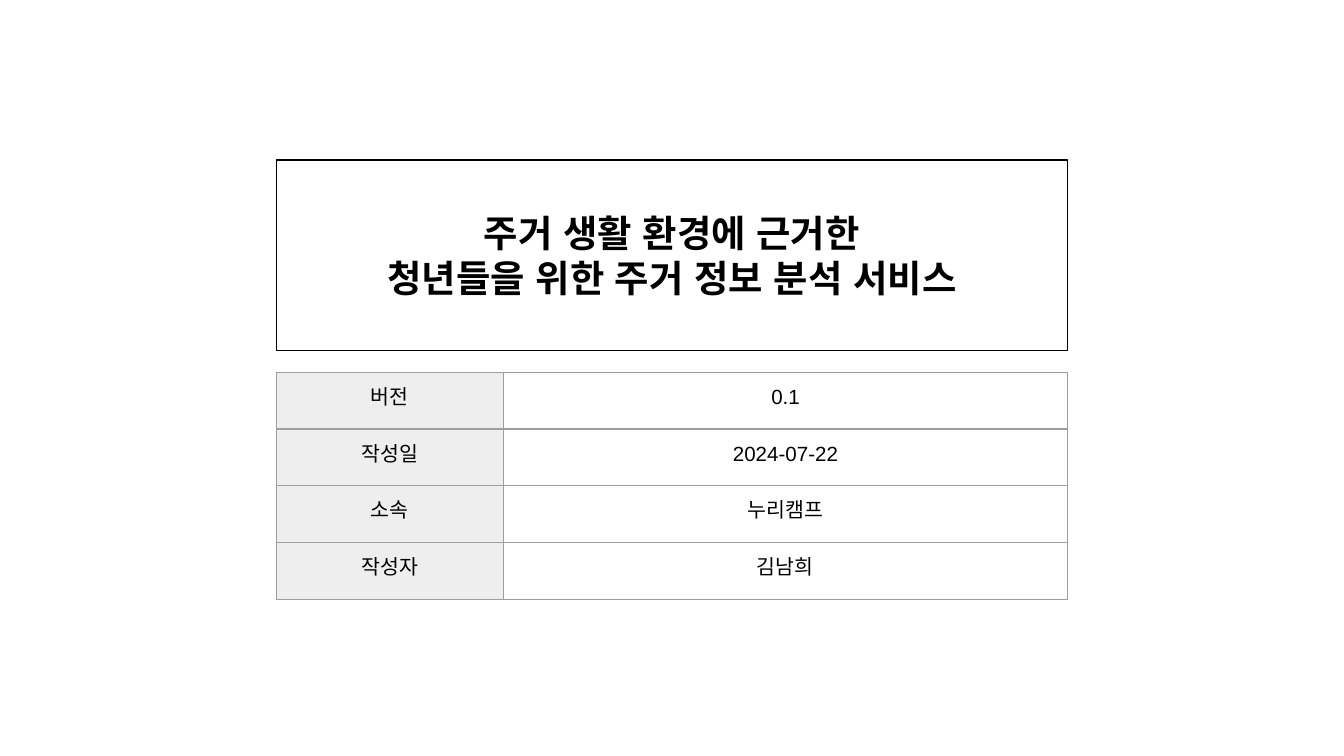
from pptx import Presentation, util as u
from pptx.dml.color import RGBColor
from pptx.enum import text
from pptx.oxml import parse_xml
from pptx.oxml.ns import nsdecls

BLACK = RGBColor(0x00, 0x00, 0x00)
WHITE = RGBColor(0xFF, 0xFF, 0xFF)
LABEL_GREY = RGBColor(0xEE, 0xEE, 0xEE)
BORDER_GREY = RGBColor(0x9E, 0x9E, 0x9E)

WIDTH = u.Inches(10)
HEIGHT = WIDTH * 9 // 16
CONTENT_WIDTH = u.Inches(5.89)
LEFT = (WIDTH - CONTENT_WIDTH) // 2
TITLE_BOX = (LEFT, u.Inches(1.19), CONTENT_WIDTH, u.Inches(1.42))
DETAILS_BOX = (LEFT, u.Inches(2.77), CONTENT_WIDTH, u.Inches(1.69))
LABEL_SHARE = 1.69 / 5.89
RULE = u.Pt(0.75)
INSET = u.Inches(0.1)
MARGINS = dict.fromkeys(
    ("margin_left", "margin_top", "margin_right", "margin_bottom"), INSET)
TYPEFACE = "Arial"
TITLE_FONT = {"name": TYPEFACE, "size": u.Pt(20), "bold": True}
DETAIL_FONT = {"name": TYPEFACE, "size": u.Pt(11), "bold": False}

HEADING = "주거 생활 환경에 근거한\n청년들을 위한 주거 정보 분석 서비스"
DETAILS = [
    ("버전", "0.1"),
    ("작성일", "2024-07-22"),
    ("소속", "누리캠프"),
    ("작성자", "김남희"),
]


def apply(target, values):
    for name, value in values.items():
        setattr(target, name, value)


def write(frame, words, font):
    frame.text = words
    for paragraph in frame.paragraphs:
        paragraph.alignment = text.PP_ALIGN.CENTER
        for run in paragraph.runs:
            apply(run.font, font)
            run.font.color.rgb = BLACK
            run._r.get_or_add_rPr().append(parse_xml(
                f'<a:ea {nsdecls("a")} typeface="{TYPEFACE}"/>'))


def add_borders(cell):
    properties = cell._tc.get_or_add_tcPr()
    for position, side in enumerate(("lnL", "lnR", "lnT", "lnB")):
        properties.insert(position, parse_xml(
            f'<a:{side} {nsdecls("a")} w="{RULE}"><a:solidFill>'
            f'<a:srgbClr val="{BORDER_GREY}"/></a:solidFill></a:{side}>'))


def place_title(slide, box):
    title = slide.shapes.title
    apply(title, dict(zip(("left", "top", "width", "height"), box)))
    title.fill.solid()
    title.fill.fore_color.rgb = WHITE
    title.line.color.rgb = BLACK
    title.line.width = RULE
    apply(title.text_frame, MARGINS | {
        "word_wrap": True,
        "auto_size": text.MSO_AUTO_SIZE.NONE,
        "vertical_anchor": text.MSO_ANCHOR.MIDDLE,
    })
    write(title.text_frame, HEADING, TITLE_FONT)


def place_details(slide, box):
    table = slide.shapes.add_table(len(DETAILS), 2, *box).table
    apply(table, {"first_row": False, "horz_banding": False})
    label_width = int(box[2] * LABEL_SHARE)
    table.columns[0].width = label_width
    table.columns[1].width = box[2] - label_width
    for row, entry in enumerate(DETAILS):
        for column, words in enumerate(entry):
            cell = table.cell(row, column)
            apply(cell, MARGINS)
            write(cell.text_frame, words, DETAIL_FONT)
            if column == 0:
                cell.fill.solid()
                cell.fill.fore_color.rgb = LABEL_GREY
            else:
                cell.fill.background()
            add_borders(cell)


def main():
    deck = Presentation()
    apply(deck, {"slide_width": WIDTH, "slide_height": HEIGHT})
    slide = deck.slides.add_slide(deck.slide_layouts.get_by_name("Title Only"))
    place_title(slide, TITLE_BOX)
    place_details(slide, DETAILS_BOX)
    deck.save("out.pptx")


if __name__ == "__main__":
    main()
